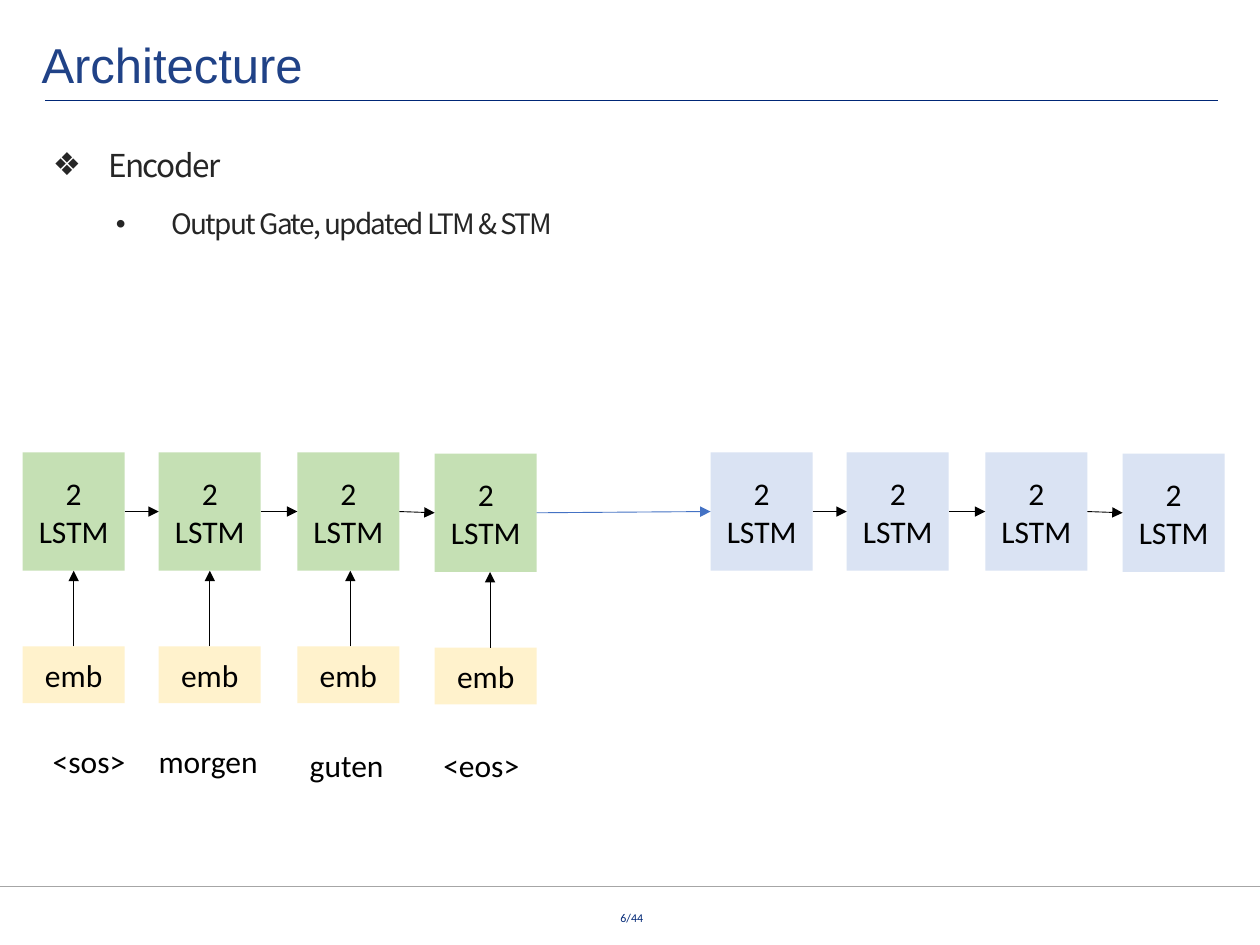
import dataclasses

import pptx
import pptx.dml.color
import pptx.enum.shapes
import pptx.enum.text
import pptx.oxml.ns
import pptx.util
from lxml import etree

Inches = pptx.util.Inches
Pt = pptx.util.Pt
Align = pptx.enum.text.PP_ALIGN
Anchor = pptx.enum.text.MSO_ANCHOR
qn = pptx.oxml.ns.qn


@dataclasses.dataclass(frozen=True)
class Theme:
    heading: str = "204287"
    navy: str = "002776"
    grey: str = "A6A6A6"
    body: str = "262626"
    black: str = "000000"
    embedding: str = "FFF2CC"
    encoder: str = "C5E0B4"
    decoder: str = "DAE3F3"
    context: str = "4472C4"
    title_font: str = "Arial"
    body_font: str = "Noto Sans CJK KR"
    label_font: str = "Calibri"
    title_size: float = 28
    topic_size: float = 18
    detail_size: float = 16
    label_size: float = 18
    number_size: float = 6.8


THEME = Theme()
COLUMNS = (0.18, 1.26, 2.36, 3.45)
DROPS = (0, 0, 0, 0.01)  # the last column sits slightly lower
ARROW_CENTRES = (0.59, 1.67, 2.78, 3.89)
DECODER_SHIFT = 5.46
CELL_WIDTH, CELL_HEIGHT, EMB_HEIGHT = 0.81, 0.94, 0.45
CELL_TOP, EMB_TOP = 3.59, 5.13
CAPTIONS = (
    ("<sos>", 0.32, 5.84, 0.81),
    ("morgen", 1.16, 5.84, 1.01),
    ("guten", 2.36, 5.87, 1.01),
    ("<eos>", 3.42, 5.87, 0.84),
)


def rgb(value):
    return pptx.dml.color.RGBColor.from_string(value)


def add_span(para, text, font, size, color):
    span = para.add_run()
    span.text = text
    span.font.name = font
    span.font.size = Pt(size)
    span.font.color.rgb = rgb(color)
    return span


def place(shape, left, top, width, height):
    shape.left, shape.top = Inches(left), Inches(top)
    shape.width, shape.height = Inches(width), Inches(height)


def fill_title(title, text):
    place(title, 0.23, 0.22, 8.26, 0.57)
    title.text_frame.auto_size = pptx.enum.text.MSO_AUTO_SIZE.NONE
    title.text_frame.vertical_anchor = Anchor.MIDDLE
    para = title.text_frame.paragraphs[0]
    para.alignment = Align.LEFT
    add_span(para, text, THEME.title_font, THEME.title_size, THEME.heading)


def fill_bullet(body, text, bounds, level, indent, mark, size):
    place(body, *bounds)
    frame = body.text_frame
    frame.auto_size = pptx.enum.text.MSO_AUTO_SIZE.NONE
    frame.vertical_anchor = Anchor.TOP
    para = frame.paragraphs[0]
    para.level = level
    para.line_spacing = 1.5
    para.space_before = Pt(0)
    properties = para._p.get_or_add_pPr()
    properties.set("marL", str(Inches(indent)))
    properties.set("indent", str(Inches(-0.44)))
    etree.SubElement(properties, qn("a:buFont")).set("typeface", THEME.title_font)
    etree.SubElement(properties, qn("a:buChar")).set("char", mark)
    span = add_span(para, text, THEME.body_font, size, THEME.body)
    span._r.get_or_add_rPr().set("spc", "-90")


def add_label(page, text, left, top, width, height=0.4):
    box = page.shapes.add_textbox(*map(Inches, (left, top, width, height)))
    box.text_frame.word_wrap = True
    para = box.text_frame.paragraphs[0]
    add_span(para, text, THEME.label_font, THEME.label_size, THEME.black)


def add_page_number(page, text):
    box = page.shapes.add_textbox(*map(Inches, (3.8, 7.27, 2.43, 0.21)))
    frame = box.text_frame
    frame.word_wrap = True
    frame.margin_left = frame.margin_right = 0
    frame.margin_top = frame.margin_bottom = 0
    para = frame.paragraphs[0]
    para.alignment = Align.CENTER
    para.line_spacing = Pt(5.1)
    add_span(para, text, THEME.label_font, THEME.number_size, THEME.navy)


def add_block(page, text, left, top, height, color):
    block = page.shapes.add_shape(
        pptx.enum.shapes.MSO_SHAPE.RECTANGLE,
        *map(Inches, (left, top, CELL_WIDTH, height)))
    block.shadow.inherit = False
    block.fill.solid()
    block.fill.fore_color.rgb = rgb(color)
    block.line.fill.background()
    block.text_frame.word_wrap = True
    block.text_frame.vertical_anchor = Anchor.MIDDLE
    para = block.text_frame.paragraphs[0]
    para.alignment = Align.CENTER
    add_span(para, text, THEME.label_font, THEME.label_size, THEME.black)
    return block


def add_line(page, start, end, color, weight):
    line = page.shapes.add_connector(
        pptx.enum.shapes.MSO_CONNECTOR.STRAIGHT, *map(Inches, start + end))
    line.line.color.rgb = rgb(color)
    line.line.width = Pt(weight)
    etree.SubElement(line._element.spPr, qn("a:effectLst"))
    return line


def add_arrow(page, start, end, color):
    arrow = add_line(page, start, end, color, 0.5)
    outline = arrow.line._get_or_add_ln()
    etree.SubElement(outline, qn("a:tailEnd")).set("type", "triangle")
    return arrow


def link_sideways(page, source, target, color):
    start = (source.left + source.width, source.top + source.height // 2)
    end = (target.left, target.top + target.height // 2)
    arrow = add_arrow(page, tuple(pptx.util.Emu(v).inches for v in start),
                      tuple(pptx.util.Emu(v).inches for v in end), color)
    arrow.begin_connect(source, 3)
    arrow.end_connect(target, 1)


def add_chain(page, shift, color):
    cells = [add_block(page, "2 LSTM", left + shift, CELL_TOP + drop, CELL_HEIGHT, color)
             for left, drop in zip(COLUMNS, DROPS)]
    for source, target in zip(cells, cells[1:]):
        link_sideways(page, source, target, THEME.black)
    return cells


def add_embeddings(page, cells):
    for cell, left, drop, centre in zip(cells, COLUMNS, DROPS, ARROW_CENTRES):
        block = add_block(page, "emb", left, EMB_TOP + drop, EMB_HEIGHT, THEME.embedding)
        arrow = add_arrow(page, (centre, EMB_TOP + drop),
                          (centre, CELL_TOP + CELL_HEIGHT + drop), THEME.black)
        # Only arrows that stand on the middle of the block are joined
        if abs(centre - left - CELL_WIDTH / 2) < 0.01:
            arrow.begin_connect(block, 0)
            arrow.end_connect(cell, 2)


def main():
    deck = pptx.Presentation()
    deck.slide_width, deck.slide_height = Inches(10), Inches(7.5)
    page = deck.slides.add_slide(deck.slide_layouts.get_by_name("Two Content"))

    # Heading, list and footer
    fill_title(page.shapes.title, "Architecture")
    fill_bullet(page.placeholders[1], "Encoder", (0.32, 0.96, 9.38, 0.5),
                0, 0.44, "❖", THEME.topic_size)
    fill_bullet(page.placeholders[2], "Output Gate, updated LTM & STM",
                (0.32, 1.46, 8.78, 0.45), 1, 0.94, "•", THEME.detail_size)
    add_line(page, (0.36, 0.8), (9.67, 0.8), THEME.navy, 0.75)
    add_line(page, (0, 7.03), (10, 7.03), THEME.grey, 0.25)
    add_page_number(page, "6/44")

    # Encoder with its embeddings and input words
    encoder = add_chain(page, 0, THEME.encoder)
    add_embeddings(page, encoder)
    for caption in CAPTIONS:
        add_label(page, *caption)

    # Decoder, fed by the last encoder cell
    decoder = add_chain(page, DECODER_SHIFT, THEME.decoder)
    link_sideways(page, encoder[-1], decoder[0], THEME.context)

    deck.save("out.pptx")


if __name__ == "__main__":
    main()
